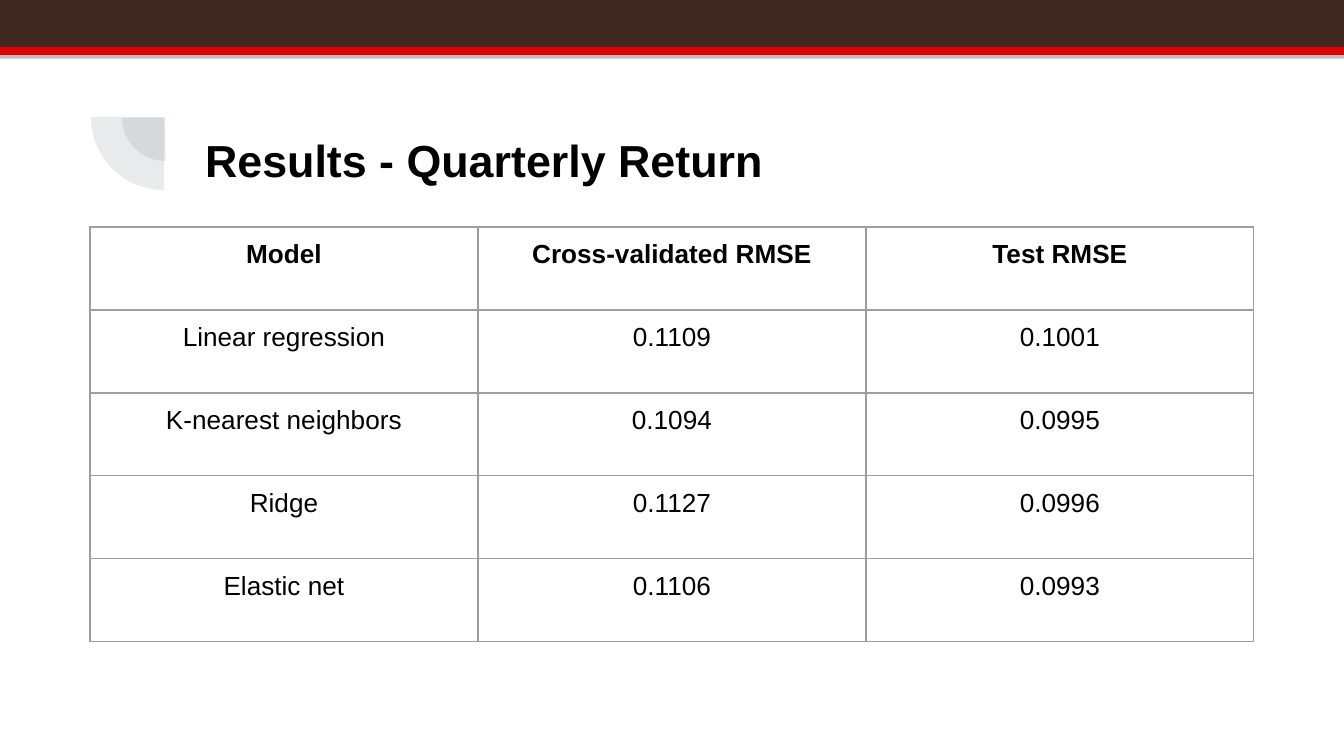
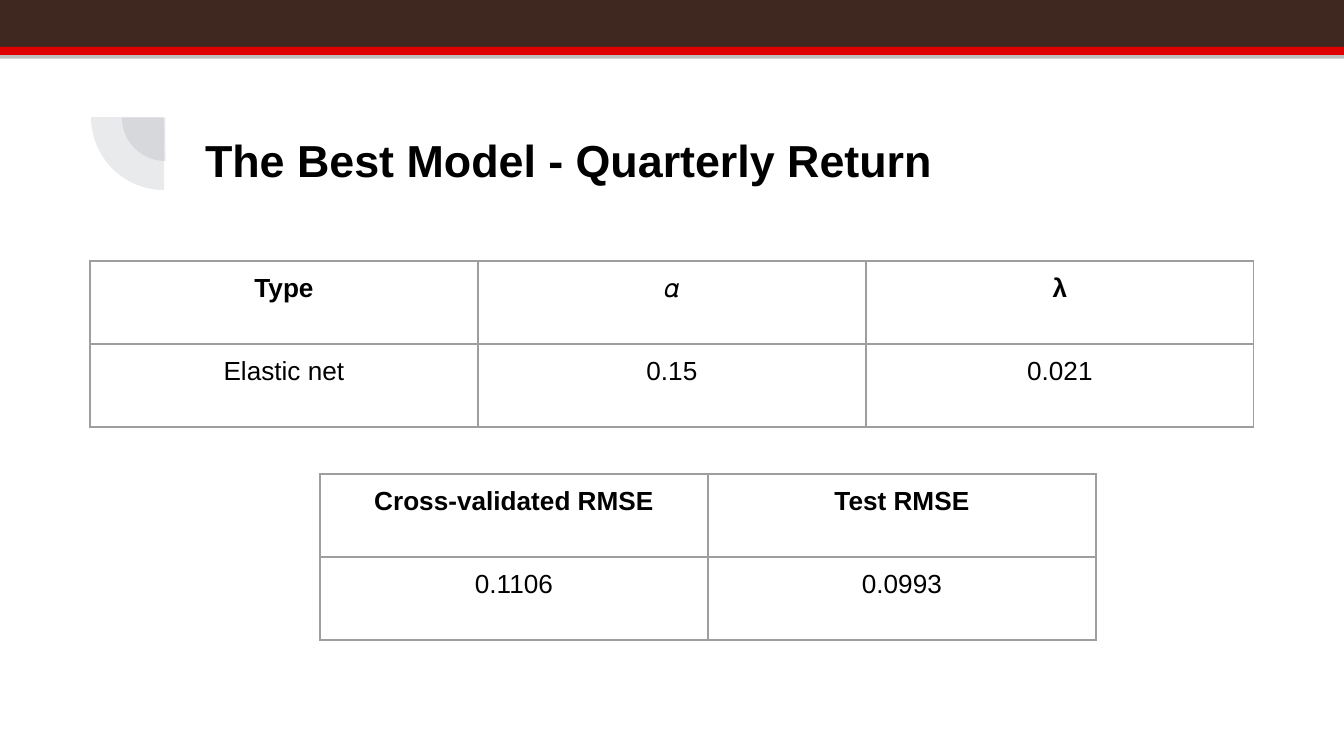
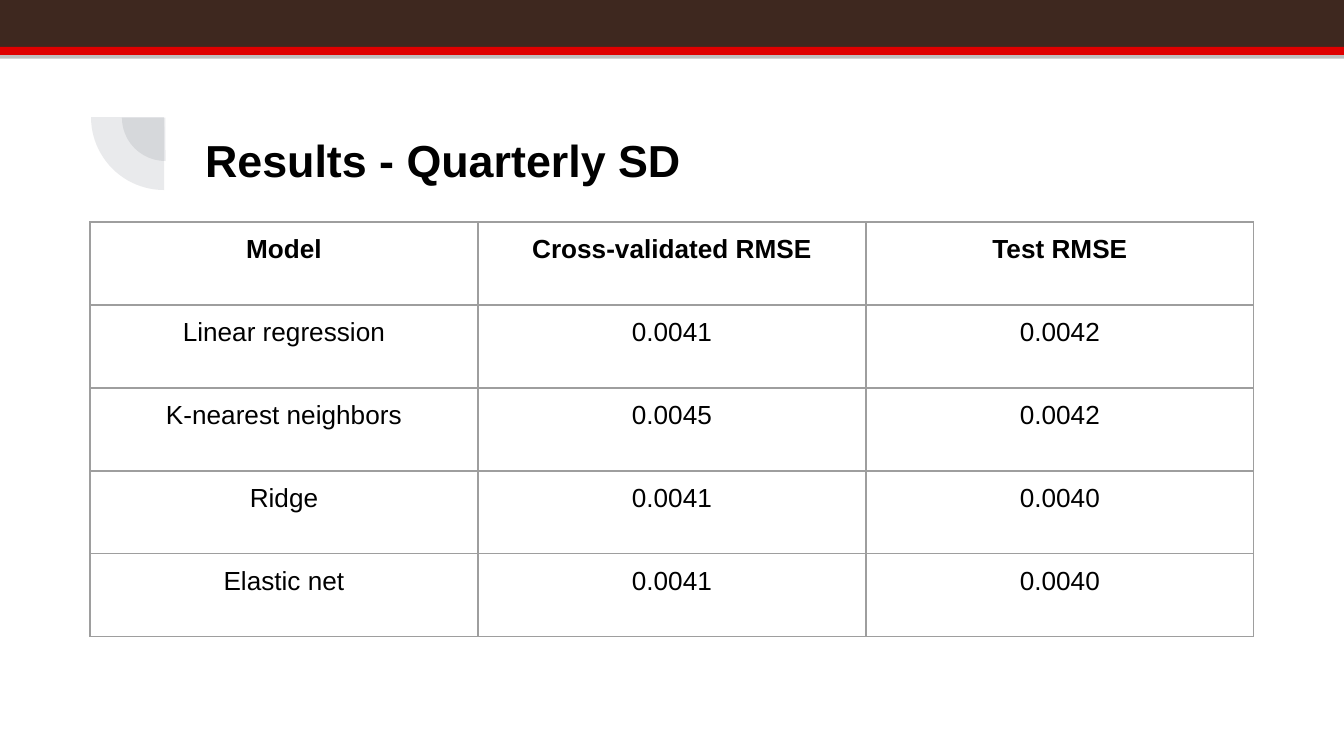
"""Build three slides of model results for quarterly return and deviation."""
from dataclasses import dataclass

from lxml.etree import SubElement
from pptx import Presentation
from pptx.dml.color import RGBColor
from pptx.enum.shapes import MSO_SHAPE
from pptx.enum.text import MSO_ANCHOR, PP_ALIGN
from pptx.oxml.ns import qn
from pptx.util import Pt

SCALE = 914400 / 134.4


@dataclass(frozen=True)
class Theme:
    font: str = "Arial"
    ink: str = "000000"
    brown: str = "3E281F"
    red: str = "DF0000"
    slate: str = "575F6D"
    shade: str = "808080"
    rule: str = "9E9E9E"
    title: int = 24
    body: int = 14


theme = Theme()


def px(*sizes):
    return [round(size * SCALE) for size in sizes]


def style(par, size, bold):
    par.font.name = theme.font
    par.font.size = Pt(size)
    par.font.bold = bold
    par.font.color.rgb = RGBColor.from_string(theme.ink)


HEADS = ["Model", "Cross-validated RMSE", "Test RMSE"]
MODELS = ["Linear regression", "K-nearest neighbors", "Ridge", "Elastic net"]
RETURN = [("0.1109", "0.1001"), ("0.1094", "0.0995"),
          ("0.1127", "0.0996"), ("0.1106", "0.0993")]
SPREAD = [("0.0041", "0.0042"), ("0.0045", "0.0042"),
          ("0.0041", "0.0040"), ("0.0041", "0.0040")]

SLIDES = [
    ("Results - Quarterly Return", [
        (90, 227, [HEADS] + [[name, *row] for name, row in zip(MODELS, RETURN)]),
    ]),
    ("The Best Model - Quarterly Return", [
        (90, 261, [["Type", "𝛼", "λ"], ["Elastic net", "0.15", "0.021"]]),
        (320, 474, [HEADS[1:], RETURN[-1]]),
    ]),
    ("Results - Quarterly SD", [
        (90, 222, [HEADS] + [[name, *row] for name, row in zip(MODELS, SPREAD)]),
    ]),
]
BANDS = [(0, 47, theme.brown), (47, 8, theme.red)]
PIES = [(122, 74, 87), (91, 44, 146)]
COL, ROW, PAD = 388, 83, 13

deck = Presentation()
deck.slide_width, deck.slide_height = px(1344, 756)

for title, grids in SLIDES:
    slide = deck.slides.add_slide(deck.slide_layouts[6])
    shapes = slide.shapes

    for top, high, color in BANDS:
        band = shapes.add_shape(MSO_SHAPE.RECTANGLE, *px(0, top, 1344, high))
        band.fill.solid()
        band.fill.fore_color.rgb = RGBColor.from_string(color)
        band.line.fill.background()
        band.shadow.inherit = False
        glow = SubElement(band.element.spPr.find(qn("a:effectLst")), qn("a:outerShdw"),
                          dist=str(Pt(2)), dir="5400000", rotWithShape="0")
        tint = SubElement(glow, qn("a:srgbClr"), val=theme.shade)
        SubElement(tint, qn("a:alpha"), val="50000")

    for left, top, size in PIES:
        pie = shapes.add_shape(MSO_SHAPE.PIE, *px(left, top, size, size))
        pie.adjustments[0] = 107.93
        pie.adjustments[1] = 162
        pie.rotation = 270
        pie.shadow.inherit = False
        pie.line.fill.background()
        pie.fill.solid()
        pie.fill.fore_color.rgb = RGBColor.from_string(theme.slate)
        tint = pie.element.spPr.find(qn("a:solidFill"))[0]
        SubElement(tint, qn("a:alpha"), val="13000")

    frame = shapes.add_textbox(*px(192, 87, 1034, 146)).text_frame
    frame.word_wrap = True
    frame.vertical_anchor = MSO_ANCHOR.MIDDLE
    frame.margin_left, frame.margin_right = px(PAD, PAD)
    frame.margin_top, frame.margin_bottom = px(PAD, PAD)
    frame.text = title
    style(frame.paragraphs[0], theme.title, True)

    for left, top, rows in grids:
        wide = len(rows[0])
        table = shapes.add_table(
            len(rows), wide, *px(left, top, COL * wide, ROW * len(rows))).table
        table.first_row = table.horz_banding = False
        for r, row in enumerate(rows):
            for c, text in enumerate(row):
                cell = table.cell(r, c)
                cell.margin_left, cell.margin_right = px(PAD, PAD)
                cell.margin_top, cell.margin_bottom = px(PAD, PAD)
                cell.text = text
                par = cell.text_frame.paragraphs[0]
                par.alignment = PP_ALIGN.CENTER
                style(par, theme.body, r == 0)
                for side in "LRTB":
                    edge = SubElement(cell._tc.get_or_add_tcPr(), qn(f"a:ln{side}"),
                                      w=str(Pt(0.75)))
                    fill = SubElement(edge, qn("a:solidFill"))
                    SubElement(fill, qn("a:srgbClr"), val=theme.rule)
                cell.fill.background()

deck.save("out.pptx")
